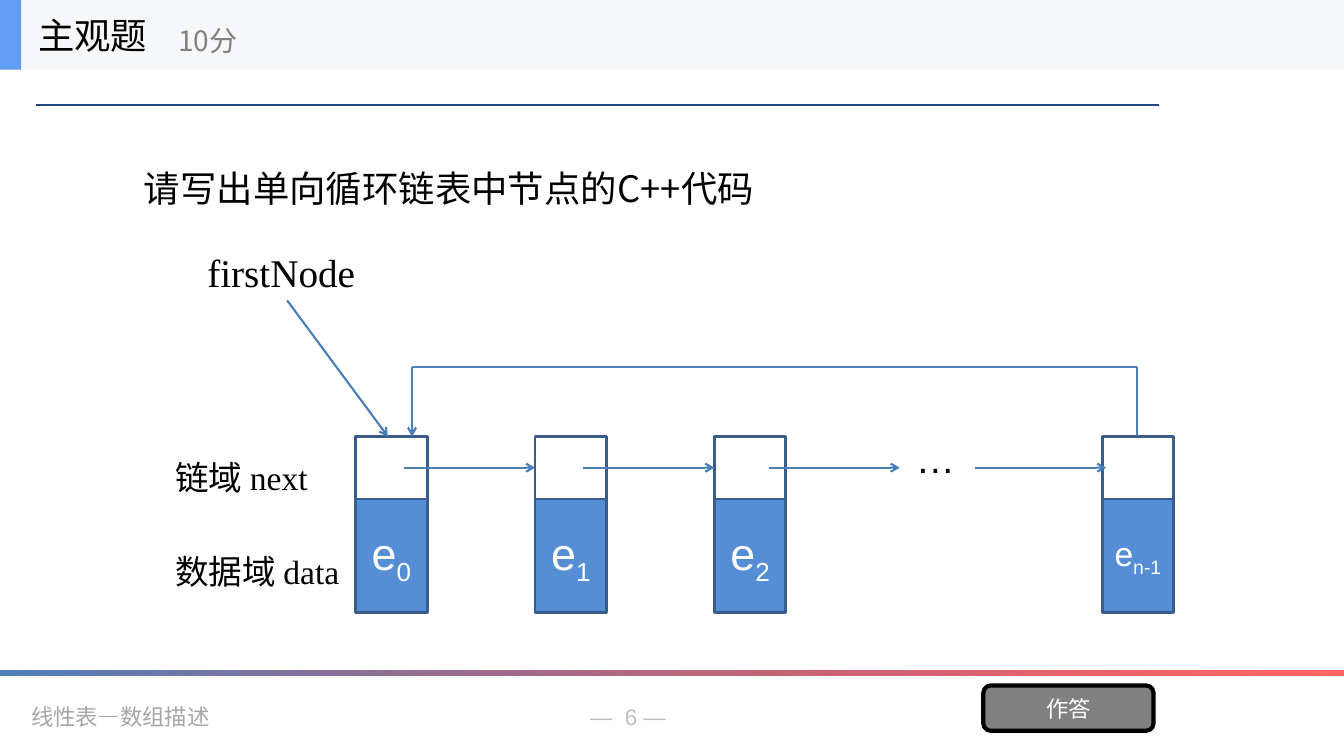
"""Build the circular linked list question slide."""
from dataclasses import dataclass
from typing import Optional

import pptx
import pptx.dml.color
import pptx.enum.shapes
import pptx.enum.text
import pptx.oxml
import pptx.oxml.ns
import pptx.util
from pptx.util import Inches

RGBColor = pptx.dml.color.RGBColor
SHAPE = pptx.enum.shapes.MSO_SHAPE
ANCHOR = pptx.enum.text.MSO_ANCHOR
ALIGN = pptx.enum.text.PP_ALIGN

BLACK = RGBColor(0x00, 0x00, 0x00)
WHITE = RGBColor(0xFF, 0xFF, 0xFF)
GRAY = RGBColor(0x80, 0x80, 0x80)
FOOTER_GRAY = RGBColor(0xA6, 0xA6, 0xA6)
NUMBER_GRAY = RGBColor(0xBF, 0xBF, 0xBF)
NAVY = RGBColor(0x1F, 0x49, 0x7D)
NODE_BORDER = RGBColor(0x38, 0x5D, 0x8A)
NODE_FILL = RGBColor(0x55, 0x8E, 0xD5)
LINK_BLUE = RGBColor(0x4A, 0x7E, 0xBB)
BAND_BLUE = RGBColor(0x4F, 0x81, 0xBD)
BAND_RED = RGBColor(0xFF, 0x00, 0x00)
HEADER_GRAY = RGBColor(0xF6, 0xF7, 0xF8)
HEADER_BLUE = RGBColor(0x63, 0x9E, 0xF4)

CJK = "Noto Sans CJK SC"
SERIF = "Times New Roman"
SANS = "Arial"
MONO = "DejaVu Sans Mono"

SLIDE_WIDTH = 13.34
NODE_WIDTH, NODE_TOP, NEXT_HEIGHT, DATA_HEIGHT = 0.71, 4.33, 0.62, 1.13
FIRST_NODE, NODE_STEP, LAST_NODE = 3.53, 1.78, 10.94
LOOP_TOP, LOOP_LEFT, LOOP_RIGHT = 3.64, 4.09, 11.29
LINK_LENGTH = 1.3


@dataclass(frozen=True)
class Label:
    text: str
    size: float
    font: str
    color: RGBColor = BLACK
    subscript: str = ""
    align: ALIGN = ALIGN.LEFT
    anchor: ANCHOR = ANCHOR.TOP


@dataclass(frozen=True)
class Block:
    left: float
    top: float
    width: float
    height: float
    label: Optional[Label] = None
    fill: Optional[RGBColor] = None
    border: Optional[RGBColor] = None
    border_width: float = 2
    kind: SHAPE = SHAPE.RECTANGLE


@dataclass(frozen=True)
class Link:
    x1: float
    y1: float
    x2: float
    y2: float
    arrow: bool = True
    color: RGBColor = LINK_BLUE
    width: float = 1.5


def write_label(shape, label: Label) -> None:
    """Write a label, with any subscript, into a shape."""
    frame = shape.text_frame
    for name, value in {"word_wrap": True, "vertical_anchor": label.anchor}.items():
        setattr(frame, name, value)
    para = frame.paragraphs[0]
    para.alignment = label.align
    for text in filter(None, (label.text, label.subscript)):
        span = para.add_run()
        span.text = text
        style = {"name": label.font, "size": pptx.util.Pt(label.size)}
        for name, value in style.items():
            setattr(span.font, name, value)
        span.font.color.rgb = label.color
        properties = span.font._element
        pptx.oxml.ns.qn("a:ea")
        east_asian = properties.makeelement(pptx.oxml.ns.qn("a:ea"), {"typeface": CJK})
        properties.append(east_asian)
        if text == label.subscript:
            properties.set("baseline", "-25000")


def draw_text(page, left: float, top: float, width: float, height: float, label: Label) -> None:
    """Draw a free-standing text box."""
    box = page.shapes.add_textbox(*map(Inches, (left, top, width, height)))
    write_label(box, label)


def draw_block(page, block: Block):
    """Draw a filled or outlined shape and return it."""
    frame = map(Inches, (block.left, block.top, block.width, block.height))
    shape = page.shapes.add_shape(block.kind, *frame)
    shape.shadow.inherit = False
    if block.fill is None:
        shape.fill.background()
    else:
        shape.fill.solid()
        shape.fill.fore_color.rgb = block.fill
    if block.border is None:
        shape.line.fill.background()
    else:
        shape.line.color.rgb = block.border
        shape.line.width = pptx.util.Pt(block.border_width)
    if block.label:
        write_label(shape, block.label)
    return shape


def draw_link(page, link: Link) -> None:
    """Draw a straight line, with an arrowhead when asked."""
    ends = map(Inches, (link.x1, link.y1, link.x2, link.y2))
    line = page.shapes.add_connector(pptx.enum.shapes.MSO_CONNECTOR.STRAIGHT, *ends)
    line.line.color.rgb = link.color
    line.line.width = pptx.util.Pt(link.width)
    properties = line._element.spPr
    if link.arrow:
        outline = line.line._get_or_add_ln()
        outline.append(outline.makeelement(pptx.oxml.ns.qn("a:tailEnd"), {"type": "arrow"}))
    properties.append(properties.makeelement(pptx.oxml.ns.qn("a:effectLst"), {}))


def draw_footer(page) -> None:
    """Draw the page number, footer, rule and gradient band."""
    draw_text(page, 5.76, 6.93, 1.9, 0.37, Label("—  6 —", 16, SANS, NUMBER_GRAY))
    draw_text(page, 0.21, 6.93, 3.02, 0.37, Label("线性表—数组描述", 16, MONO, FOOTER_GRAY))
    draw_link(page, Link(0.36, 1.04, 11.5, 1.04, False, NAVY, 1))
    band = draw_block(page, Block(0, 6.65, SLIDE_WIDTH, 0.05))
    band.fill.gradient()
    band.fill.gradient_angle = 0
    for stop, color in zip(band.fill.gradient_stops, (BAND_BLUE, BAND_RED)):
        stop.color.rgb = color
    red = band._element.xpath(".//a:gs[2]/a:srgbClr")[0]
    red.append(red.makeelement(pptx.oxml.ns.qn("a:alpha"), {"val": "60000"}))


def draw_node(page, left: float, index: str, size: float) -> None:
    """Draw a list node: link field above data field."""
    label = Label("e", size, SANS, WHITE, index, ALIGN.CENTER, ANCHOR.MIDDLE)
    data_top = NODE_TOP + NEXT_HEIGHT
    draw_block(page, Block(left, NODE_TOP, NODE_WIDTH, NEXT_HEIGHT, None, None, NODE_BORDER))
    draw_block(page, Block(left, data_top, NODE_WIDTH, DATA_HEIGHT, label, NODE_FILL, NODE_BORDER))


def draw_list(page) -> None:
    """Draw the circular list with its labels and links."""
    for index in range(3):
        draw_node(page, FIRST_NODE + index * NODE_STEP, str(index), 32)
    draw_node(page, LAST_NODE, "n-1", 24)
    for left in (4.01, 5.79, 7.63, 9.68):
        draw_link(page, Link(left, 4.64, left + LINK_LENGTH, 4.64))
    draw_text(page, 8.93, 4.26, 0.71, 0.57, Label("…", 28, SANS, align=ALIGN.CENTER))
    draw_text(page, 1.96, 2.41, 1.78, 0.57, Label("firstNode", 28, SERIF))
    draw_text(page, 1.64, 4.48, 1.89, 0.5, Label("链域 next", 24, SERIF))
    draw_text(page, 1.64, 5.42, 1.89, 0.9, Label("数据域 data", 24, SERIF))
    draw_link(page, Link(2.85, 2.98, 3.85, NODE_TOP))
    draw_link(page, Link(LOOP_RIGHT, NODE_TOP, LOOP_RIGHT, LOOP_TOP, False))
    draw_link(page, Link(LOOP_LEFT, LOOP_TOP, LOOP_RIGHT, LOOP_TOP, False))
    draw_link(page, Link(LOOP_LEFT, LOOP_TOP, LOOP_LEFT, NODE_TOP))


def draw_header(page) -> None:
    """Draw the header bar with question type and score."""
    draw_block(page, Block(0, 0, SLIDE_WIDTH, 0.69, fill=HEADER_GRAY))
    draw_block(page, Block(0, 0, 0.21, 0.69, fill=HEADER_BLUE))
    draw_text(page, 0.28, 0, 2.08, 0.69, Label("主观题", 26, CJK, anchor=ANCHOR.MIDDLE))
    draw_text(page, 1.67, 0.12, 2.5, 0.56, Label("10分", 20, CJK, GRAY, anchor=ANCHOR.MIDDLE))


def main() -> None:
    """Assemble and save the deck."""
    deck = pptx.Presentation()
    for name, value in {"slide_width": SLIDE_WIDTH, "slide_height": 7.5}.items():
        setattr(deck, name, Inches(value))
    page = deck.slides.add_slide(deck.slide_layouts[6])
    draw_footer(page)
    question = Label("请写出单向循环链表中节点的C++代码", 26, CJK, anchor=ANCHOR.MIDDLE)
    draw_text(page, 1.33, 0.69, 10.67, 2.34, question)
    answer = Label("作答", 16, CJK, WHITE, align=ALIGN.CENTER, anchor=ANCHOR.MIDDLE)
    draw_block(page, Block(9.76, 6.8, 1.69, 0.45, answer, GRAY, BLACK, 3, SHAPE.ROUNDED_RECTANGLE))
    draw_list(page)
    draw_header(page)
    deck.save("out.pptx")


if __name__ == "__main__":
    main()
